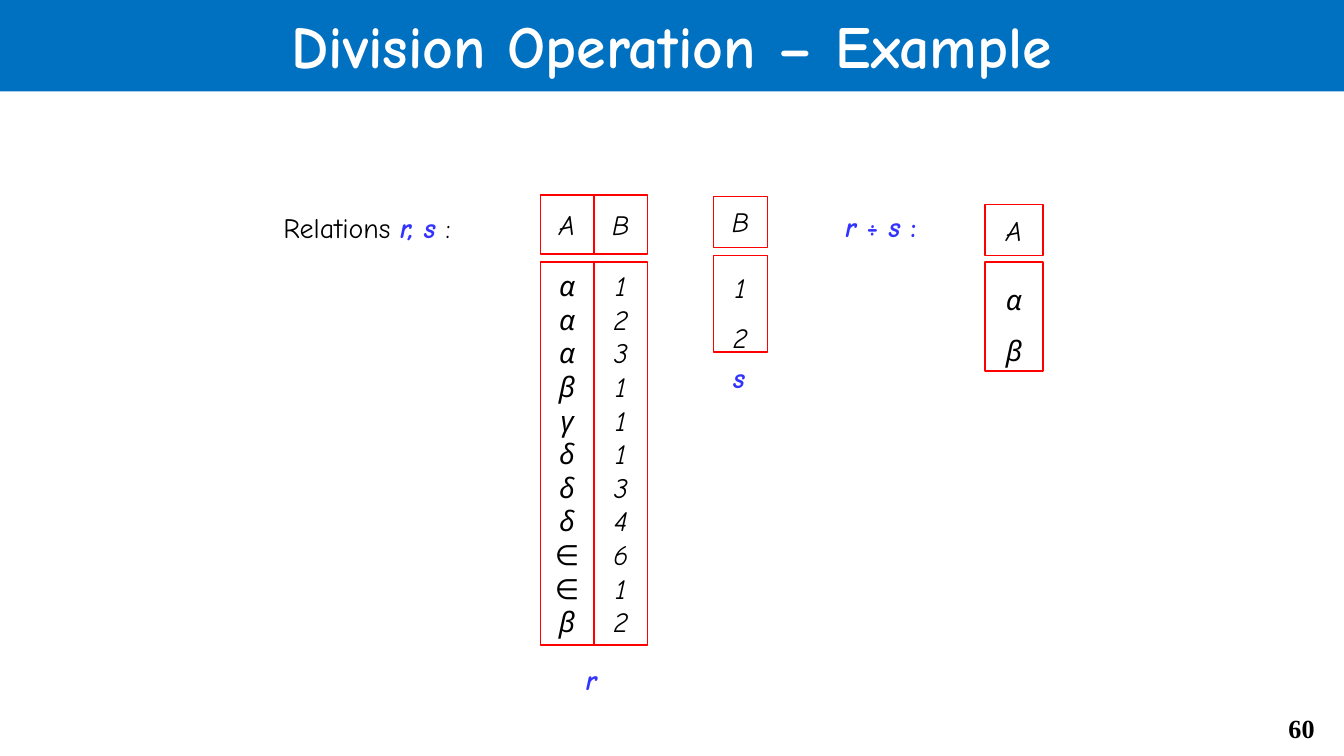
from typing import NamedTuple

from pptx import Presentation
from pptx.dml.color import RGBColor as RGB
from pptx.enum.shapes import MSO_SHAPE as Shape
from pptx.enum.text import MSO_ANCHOR as Anchor, MSO_AUTO_SIZE as AutoSize, PP_ALIGN as Align
from pptx.util import Inches, Pt

COLORS = {"band": "0070C0", "white": "FFFFFF", "black": "000000", "blue": "3333FF", "red": "FF0000"}
FONT = "Comic Neue"


class Run(NamedTuple):
    text: str
    color: str = "black"
    bold: bool = False
    italic: bool = False
    size: float = 15
    font: str = FONT


class Label(NamedTuple):
    x: float
    y: float
    w: float
    h: float
    runs: list[Run]
    align: Align = Align.LEFT
    anchor: Anchor = Anchor.TOP
    wrap: bool = True


class Column(NamedTuple):
    x: float
    w: float
    head: str
    head_y: float
    head_h: float
    values: str
    body_y: float
    body_h: float
    spacing: float = 1.0


def blue(text: str, italic: bool = True) -> Run:
    return Run(text, "blue", True, italic)


def add_run(p, run: Run) -> None:
    r = p.add_run()
    r.text = run.text
    f = r.font
    f.name, f.size, f.bold, f.italic = run.font, Pt(run.size), run.bold, run.italic
    f.color.rgb = RGB.from_string(COLORS[run.color])


def add_label(s, label: Label) -> None:
    sp = s.shapes.add_textbox(*map(Inches, label[:4]))
    tf = sp.text_frame
    tf.word_wrap, tf.vertical_anchor = label.wrap, label.anchor
    p = tf.paragraphs[0]
    p.alignment = label.align
    for run in label.runs:
        add_run(p, run)


def add_box(s, x: float, y: float, w: float, h: float, lines: str, spacing: float = 1.0) -> None:
    sp = s.shapes.add_shape(Shape.RECTANGLE, *map(Inches, (x, y, w, h)))
    sp.shadow.inherit = False
    sp.fill.background()
    sp.line.color.rgb = RGB.from_string(COLORS["red"])
    sp.line.width = Pt(0.75)
    tf = sp.text_frame
    tf.word_wrap, tf.vertical_anchor = False, Anchor.MIDDLE
    for i, text in enumerate(lines):
        p = tf.add_paragraph() if i else tf.paragraphs[0]
        p.alignment, p.line_spacing = Align.CENTER, spacing
        add_run(p, Run(text, italic=True))


def add_column(s, c: Column) -> None:
    add_box(s, c.x, c.head_y, c.w, c.head_h, c.head)
    add_box(s, c.x, c.body_y, c.w, c.body_h, c.values, c.spacing)


def add_title(s, text: str) -> None:
    sp = s.shapes.title
    sp.left, sp.top, sp.width, sp.height = map(Inches, (0, -0.02, 10, 0.7))
    sp.fill.solid()
    sp.fill.fore_color.rgb = RGB.from_string(COLORS["band"])
    tf = sp.text_frame
    tf.auto_size, tf.vertical_anchor = AutoSize.NONE, Anchor.MIDDLE
    p = tf.paragraphs[0]
    p.alignment = Align.CENTER
    add_run(p, Run(text, "white", True, size=32))


COLUMNS = [
    Column(4.02, 0.4, "A", 1.45, 0.44, "αααβγδδδ∈∈β", 1.95, 2.85),
    Column(4.42, 0.4, "B", 1.45, 0.44, "12311134612", 1.95, 2.85),
    Column(5.31, 0.4, "B", 1.46, 0.38, "12", 1.9, 0.72, 1.5),
    Column(7.33, 0.43, "A", 1.52, 0.38, "αβ", 1.95, 0.81, 1.5),
]
LABELS = [
    Label(2.01, 1.52, 1.79, 0.27, [Run("Relations "), blue("r, s "), Run(":")]),
    Label(6.19, 1.51, 0.95, 0.27, [blue("r "), blue("÷ ", False), blue("s "), blue(":", False)]),
    Label(4.25, 4.88, 0.3, 0.35, [blue("r")], Align.CENTER, Anchor.MIDDLE, False),
    Label(5.35, 2.63, 0.3, 0.35, [blue("s")], Align.CENTER, Anchor.MIDDLE, False),
    Label(9.25, 5.25, 0.63, 0.34, [Run("60", bold=True, size=14, font="Times New Roman")], Align.RIGHT),
]


def main() -> None:
    prs = Presentation()
    prs.slide_width = Inches(10)
    prs.slide_height = prs.slide_width * 9 // 16
    s = prs.slides.add_slide(prs.slide_layouts[5])
    add_title(s, "Division Operation – Example")
    for column in COLUMNS:
        add_column(s, column)
    for label in LABELS:
        add_label(s, label)
    prs.save("out.pptx")


if __name__ == "__main__":
    main()
